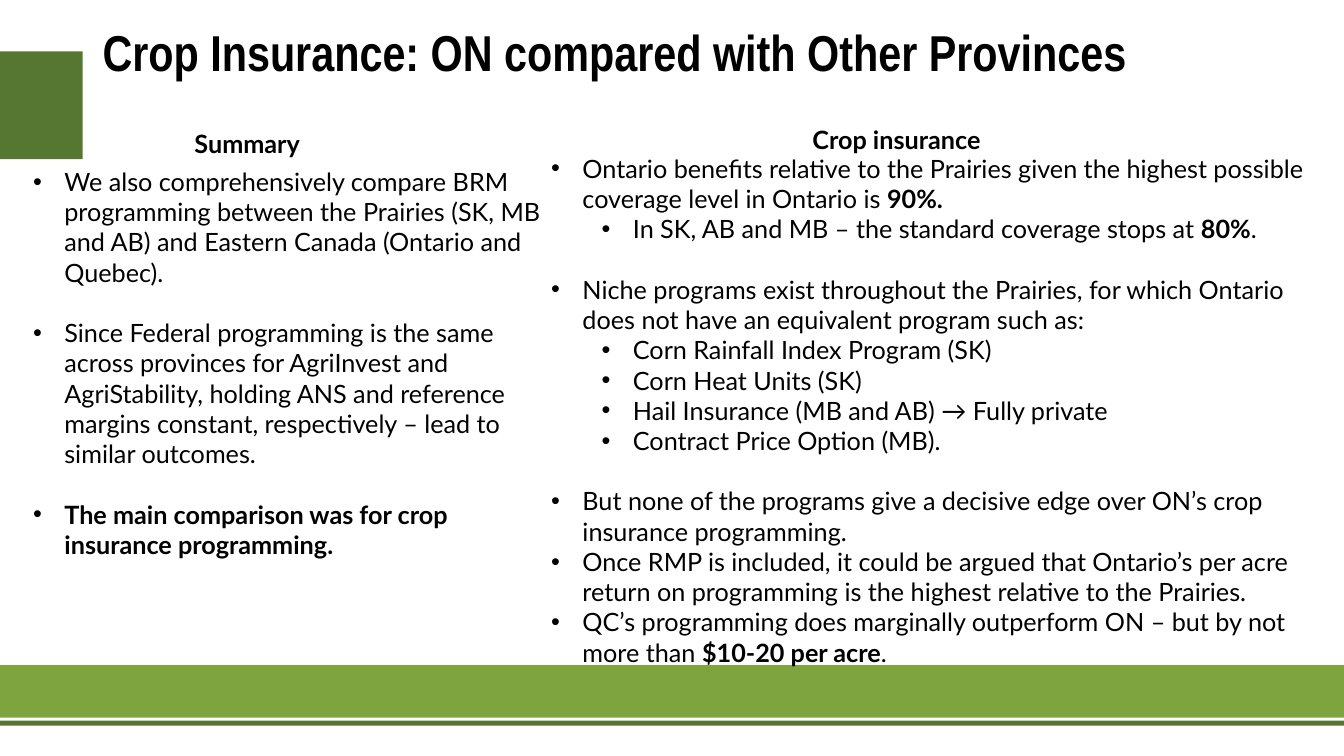
from lxml import etree
from pptx import Presentation
from pptx.dml.color import RGBColor
from pptx.enum.shapes import MSO_SHAPE
from pptx.oxml.ns import qn
from pptx.util import Inches, Pt

RECTANGLE = MSO_SHAPE.RECTANGLE
THEME = {
    "dark green": RGBColor(0x55, 0x77, 0x32),
    "light green": RGBColor(0x7D, 0xA4, 0x3E),
    "text": RGBColor(0, 0, 0),
    "title font": "Arial Narrow",
    "body font": "Lato",
    "title size": Pt(36),
    "body size": Pt(18),
    "group gap": Pt(21.6),
    "hanging": Inches(0.31),
    "level step": Inches(0.5),
}

presentation = Presentation()
presentation.slide_width = Inches(13.33)
presentation.slide_height = Inches(7.5)
slide = presentation.slides.add_slide(presentation.slide_layouts[6])

# Grid of 100 columns by 100 rows
COLUMN = presentation.slide_width / 100
ROW = presentation.slide_height / 100


def place(left, top, width, height):
    return [int(left * COLUMN), int(top * ROW), int(width * COLUMN), int(height * ROW)]


def add_text(text, box, font="body font", size="body size", bold=False, bullets=False):
    """Write one paragraph a line: a tab indents, a blank line opens a group, ** toggles bold."""
    frame = slide.shapes.add_textbox(*place(*box)).text_frame
    frame.word_wrap = True
    index = 0
    for group_number, group in enumerate(text.split("\n\n")):
        for line_number, line in enumerate(group.split("\n")):
            paragraph = frame.add_paragraph() if index else frame.paragraphs[0]
            index += 1
            paragraph.level = line.count("\t")
            if group_number and line_number == 0:
                paragraph.space_before = THEME["group gap"]
            if bullets:
                properties = paragraph._p.get_or_add_pPr()
                margin = THEME["hanging"] + paragraph.level * THEME["level step"]
                properties.set("marL", str(margin))
                properties.set("indent", str(-THEME["hanging"]))
                etree.SubElement(properties, qn("a:buFont")).set("typeface", "Arial")
                etree.SubElement(properties, qn("a:buChar")).set("char", "•")
            for part_number, part in enumerate(line.strip().split("**")):
                if part:
                    run = paragraph.add_run()
                    run.text = part
                    run.font.name = THEME[font]
                    run.font.size = THEME[size]
                    run.font.bold = bold or part_number % 2 == 1
                    run.font.color.rgb = THEME["text"]


# Footer stripe, footer band and title marker
for box, color in (
    ((0, 95.33, 100, 0.67), "dark green"),
    ((0, 88, 100, 6.93), "light green"),
    ((0, 6.8, 6.15, 14.27), "dark green"),
):
    shape = slide.shapes.add_shape(RECTANGLE, *place(*box))
    shape.shadow.inherit = False
    shape.fill.solid()
    shape.fill.fore_color.rgb = THEME[color]
    shape.line.fill.background()

# Title
add_text("Crop Insurance: ON compared with Other Provinces", (6.9, 2.13, 90.92, 9.47),
         font="title font", size="title size", bold=True)

# Summary column
add_text("Summary", (13.73, 16.27, 20.18, 5.33), bold=True)
add_text("""We also comprehensively compare BRM programming between the Prairies (SK, MB and AB) and Eastern Canada (Ontario and Quebec).

Since Federal programming is the same across provinces for AgriInvest and AgriStability, holding ANS and reference margins constant, respectively – lead to similar outcomes.

**The main comparison was for crop insurance programming.**""",
         (1.73, 21.33, 40.51, 53.87), bullets=True)

# Crop insurance column
add_text("Crop insurance", (59.71, 15.73, 15.23, 5.33), bold=True)
add_text("""Ontario benefits relative to the Prairies given the highest possible coverage level in Ontario is **90%.**
\tIn SK, AB and MB – the standard coverage stops at **80%**.

Niche programs exist throughout the Prairies, for which Ontario does not have an equivalent program such as:
\tCorn Rainfall Index Program (SK)
\tCorn Heat Units (SK)
\tHail Insurance (MB and AB) → Fully private
\tContract Price Option (MB).

But none of the programs give a decisive edge over ON’s crop insurance programming.
Once RMP is included, it could be argued that Ontario’s per acre return on programming is the highest relative to the Prairies.
QC’s programming does marginally outperform ON – but by not more than **$10-20 per acre**.""",
         (40.28, 19.6, 58.06, 74), bullets=True)

presentation.save("out.pptx")
